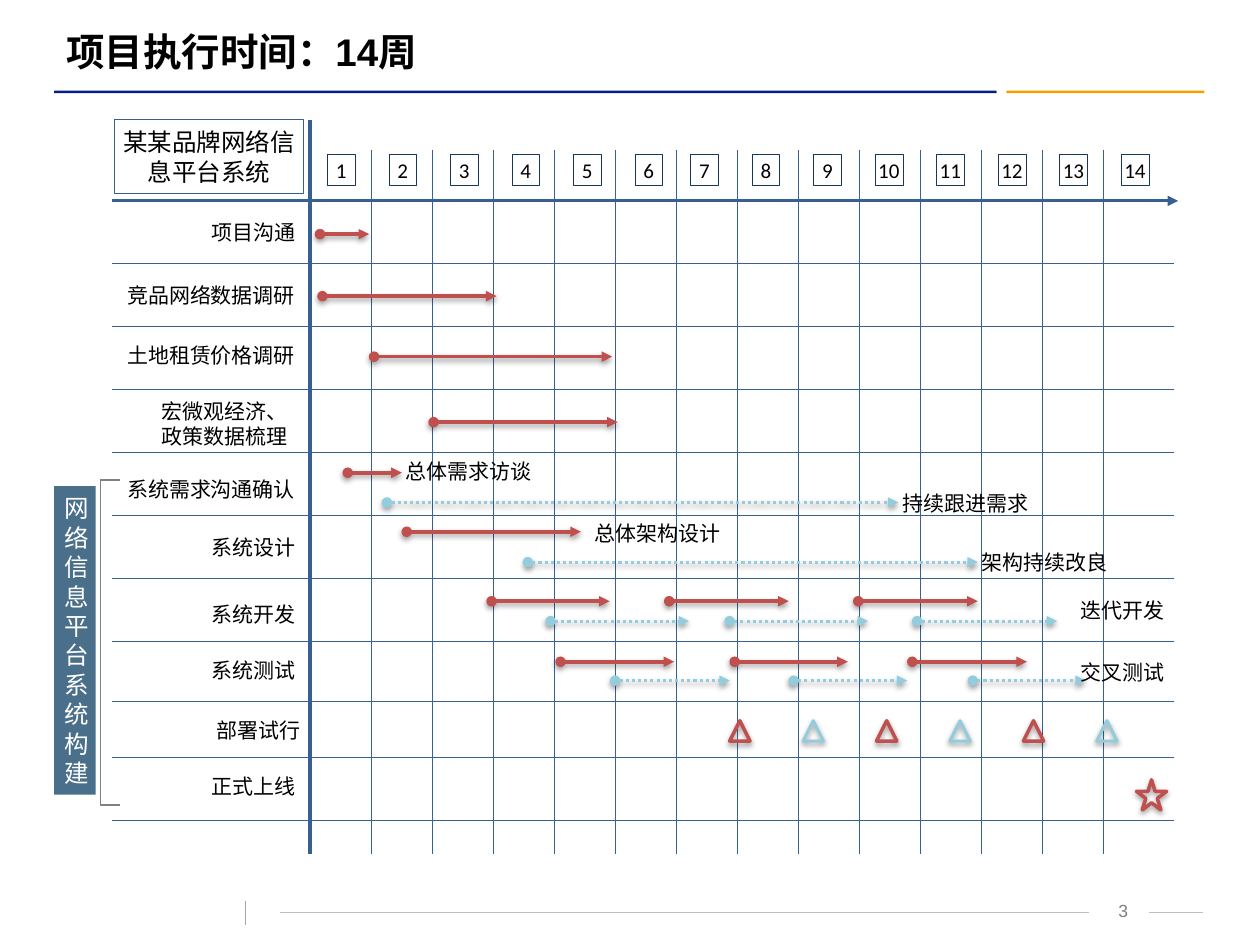
"""Build a one-slide 14-week project schedule with task arrows and milestones."""
from lxml import etree
from pptx import Presentation
from pptx.dml.color import RGBColor
from pptx.enum.dml import MSO_LINE
from pptx.enum.shapes import MSO_CONNECTOR, MSO_SHAPE
from pptx.enum.text import MSO_ANCHOR, PP_ALIGN
from pptx.oxml.ns import qn
from pptx.util import Cm, Pt

STRAIGHT, DOTTED = MSO_CONNECTOR.STRAIGHT, MSO_LINE.ROUND_DOT
RECTANGLE, ROUNDED = MSO_SHAPE.RECTANGLE, MSO_SHAPE.ROUNDED_RECTANGLE
TRIANGLE, STAR = MSO_SHAPE.ISOSCELES_TRIANGLE, MSO_SHAPE.STAR_5_POINT
LEFT, CENTER, RIGHT = PP_ALIGN.LEFT, PP_ALIGN.CENTER, PP_ALIGN.RIGHT
TOP, MIDDLE = MSO_ANCHOR.TOP, MSO_ANCHOR.MIDDLE

CHINESE = "Noto Sans CJK SC"
BLACK = RGBColor(0x00, 0x00, 0x00)
WHITE = RGBColor(0xFF, 0xFF, 0xFF)
NAVY = RGBColor(0x03, 0x1D, 0x89)
ORANGE = RGBColor(0xF5, 0xA0, 0x00)
GRID = RGBColor(0x37, 0x60, 0x92)
BOX = RGBColor(0x17, 0x37, 0x5E)
RED = RGBColor(0xC0, 0x50, 0x4D)
AQUA = RGBColor(0x93, 0xCD, 0xDD)
SLATE = RGBColor(0x4A, 0x6F, 0x8A)
GRAY = RGBColor(0x80, 0x80, 0x80)
LIGHT_GRAY = RGBColor(0xBF, 0xBF, 0xBF)
MID_GRAY = RGBColor(0xA6, 0xA6, 0xA6)

TITLE = "项目执行时间：14周"
SYSTEM = "某某品牌网络信息平台系统"
PHASE = "网络信息平台系统构建"
WEEKS = 14
AXIS_LEFT, AXIS_TOP, WEEK_WIDTH = 6.25, 4.05, 1.23
GRID_LEFT, GRID_RIGHT, GRID_BOTTOM = 2.26, 23.67, 17.22
ROW_LINES = [5.31, 6.58, 7.85, 9.12, 10.39, 11.66, 12.93, 14.15, 15.27, 16.54]

# (text, right edge, top)
LABELS = [
    ("项目沟通", 6.2, 4.29), ("竞品网络数据调研", 6.2, 5.56),
    ("土地租赁价格调研", 6.2, 6.78), ("宏微观经济、\n政策数据梳理", 6.05, 7.9),
    ("系统需求沟通确认", 6.2, 9.47), ("系统设计", 6.2, 10.64),
    ("系统开发", 6.2, 11.99), ("系统测试", 6.2, 13.13),
    ("部署试行", 6.3, 14.33), ("正式上线", 6.2, 15.47),
    ("总体需求访谈", 10.97, 9.12), ("持续跟进需求", 20.98, 9.75),
    ("总体架构设计", 14.78, 10.36), ("架构持续改良", 22.58, 10.95),
    ("迭代开发", 23.72, 11.91), ("交叉测试", 23.72, 13.16),
]
RED_TASKS = [
    (4.72, [(6.45, 7.44)]), (5.97, [(6.5, 10.01)]), (7.19, [(7.54, 12.34)]),
    (8.51, [(8.74, 12.45)]), (9.53, [(7.01, 8.1)]), (10.72, [(8.2, 11.71)]),
    (12.12, [(9.91, 12.29), (13.49, 15.9), (17.3, 19.71)]),
    (13.34, [(11.3, 13.59), (14.81, 17.09), (18.39, 20.7)]),
]
AQUA_TASKS = [
    (10.13, [(7.8, 18.11)]), (11.33, [(10.64, 19.71)]),
    (12.52, [(11.1, 13.89), (14.71, 17.5), (18.49, 21.31)]),
    (13.72, [(12.4, 14.71), (16, 18.29), (19.61, 21.89)]),
]
TRIAL_RUNS = 6


def set_shadow(shape, visible):
    effects = etree.SubElement(shape._element.spPr, qn("a:effectLst"))
    if visible:
        shadow = etree.SubElement(effects, qn("a:outerShdw"), blurRad="40000",
                                  dist="20000", dir="5400000", rotWithShape="0")
        color = etree.SubElement(shadow, qn("a:srgbClr"), val="000000")
        etree.SubElement(color, qn("a:alpha"), val="38000")


def write_text(shape, text, *, size, font=CHINESE, color=BLACK, bold=False,
               align=LEFT, anchor=MIDDLE, wrap=True, insets=(0.25, 0.13)):
    frame = shape.text_frame
    frame.text = text
    frame.word_wrap = wrap
    frame.vertical_anchor = anchor
    frame.margin_left = frame.margin_right = Cm(insets[0])
    frame.margin_top = frame.margin_bottom = Cm(insets[1])
    for paragraph in frame.paragraphs:
        paragraph.alignment = align
        if font == CHINESE:
            paragraph.line_spacing = Pt(size * 1.2)
        for run in paragraph.runs:
            run.font.name = font
            run.font.size = Pt(size)
            run.font.bold = bold
            run.font.color.rgb = color
            latin = run.font._element.find(qn("a:latin"))
            latin.addnext(etree.Element(qn("a:ea"), typeface=CHINESE))


def add_box(slide, kind, box, fill=None, line=None, width=0.5, shadow=False):
    shape = slide.shapes.add_shape(kind, *map(Cm, box))
    if fill is None:
        shape.fill.background()
    else:
        shape.fill.solid()
        shape.fill.fore_color.rgb = fill
    if line is None:
        shape.line.fill.background()
    else:
        shape.line.color.rgb = line
        shape.line.width = Pt(width)
    set_shadow(shape, shadow)
    return shape


def add_line(slide, start, end, color=GRID, width=0.5, dash=None,
             head=None, tail=None, shadow=False):
    connector = slide.shapes.add_connector(STRAIGHT, *map(Cm, start + end))
    connector.line.color.rgb = color
    connector.line.width = Pt(width)
    if dash is not None:
        connector.line.dash_style = dash
    outline = connector._element.spPr.find(qn("a:ln"))
    for tag, kind in (("a:headEnd", head), ("a:tailEnd", tail)):
        if kind:
            etree.SubElement(outline, qn(tag), type=kind)
    set_shadow(connector, shadow)


def add_frame(slide):
    title = slide.shapes.title
    title.left, title.top, title.width, title.height = map(Cm, (1.09, 0.43, 23.11, 1.19))
    write_text(title, TITLE, size=22, font="Arial", bold=True)
    add_box(slide, ROUNDED, (20.29, 1.83, 3.99, 0.05), fill=ORANGE)
    add_box(slide, ROUNDED, (1.09, 1.83, 19, 0.05), fill=NAVY)
    add_line(slide, (5.64, 18.39), (21.95, 18.39), LIGHT_GRAY, 0.75)
    add_line(slide, (4.95, 18.16), (4.95, 18.64), MID_GRAY, 0.75)
    add_line(slide, (23.16, 18.39), (24.26, 18.39), LIGHT_GRAY, 0.75)
    number = slide.shapes.add_textbox(*map(Cm, (22.05, 18.01, 1.19, 0.64)))
    write_text(number, "3", size=10, font="Arial", color=GRAY, align=CENTER, anchor=TOP)


def add_grid(slide):
    add_line(slide, (GRID_LEFT, AXIS_TOP), (23.75, AXIS_TOP), width=1.75, tail="triangle")
    add_line(slide, (AXIS_LEFT, 2.41), (AXIS_LEFT, GRID_BOTTOM), width=2)
    for y in ROW_LINES:
        add_line(slide, (GRID_LEFT, y), (GRID_RIGHT, y))
    for week in range(1, WEEKS):
        x = AXIS_LEFT + week * WEEK_WIDTH
        add_line(slide, (x, 3.02), (x, GRID_BOTTOM))
    for week in range(WEEKS):
        x = 6.6 + week * 1.24 - (0.12 if week > 5 else 0)
        box = add_box(slide, RECTANGLE, (x, 3.12, 0.56, 0.61), line=BOX, width=0.25)
        write_text(box, str(week + 1), size=12, font="Calibri", align=CENTER, wrap=False)
    system = add_box(slide, RECTANGLE, (2.31, 2.41, 3.81, 1.5), line=GRID)
    write_text(system, SYSTEM, size=14, align=CENTER, insets=(0, 0))


def add_phase(slide):
    builder = slide.shapes.build_freeform(Cm(2.41), Cm(9.68))
    corners = [(2.03, 9.68), (2.03, 16.23), (2.41, 16.23)]
    builder.add_line_segments([(Cm(x), Cm(y)) for x, y in corners], close=False)
    bracket = builder.convert_to_shape()
    bracket.fill.background()
    bracket.line.color.rgb = GRAY
    bracket.line.width = Pt(0.75)
    set_shadow(bracket, False)
    phase = add_box(slide, RECTANGLE, (1.09, 9.8, 0.84, 6.22), fill=SLATE)
    write_text(phase, PHASE, size=14, color=WHITE, align=RIGHT, insets=(0.13, 0))


def add_schedule(slide):
    styles = [(RED_TASKS, RED, 2, None), (AQUA_TASKS, AQUA, 1.75, DOTTED)]
    for tasks, color, width, dash in styles:
        for y, spans in tasks:
            for start, end in spans:
                add_line(slide, (start, y), (end, y), color, width, dash,
                         head="oval", tail="triangle", shadow=True)
    for index in range(TRIAL_RUNS):
        color, width = ((RED, 2), (AQUA, 1.75))[index % 2]
        add_box(slide, TRIANGLE, (14.71 + index * 1.48, 14.53, 0.41, 0.41),
                line=color, width=width, shadow=True)
    add_box(slide, STAR, (22.91, 15.72, 0.61, 0.61), line=RED, width=2, shadow=True)
    for text, right, top in LABELS:
        lines = text.split("\n")
        width = 0.54 + 0.425 * max(map(len, lines))
        height = 0.25 + 0.51 * len(lines)
        label = slide.shapes.add_textbox(*map(Cm, (right - width, top, width, height)))
        write_text(label, text, size=12, align=RIGHT, anchor=TOP, wrap=False)


def main():
    presentation = Presentation()
    presentation.slide_width, presentation.slide_height = Cm(25.4), Cm(19.05)
    slide = presentation.slides.add_slide(presentation.slide_layouts[5])
    add_frame(slide)
    add_grid(slide)
    add_phase(slide)
    add_schedule(slide)
    presentation.save("out.pptx")


if __name__ == "__main__":
    main()
